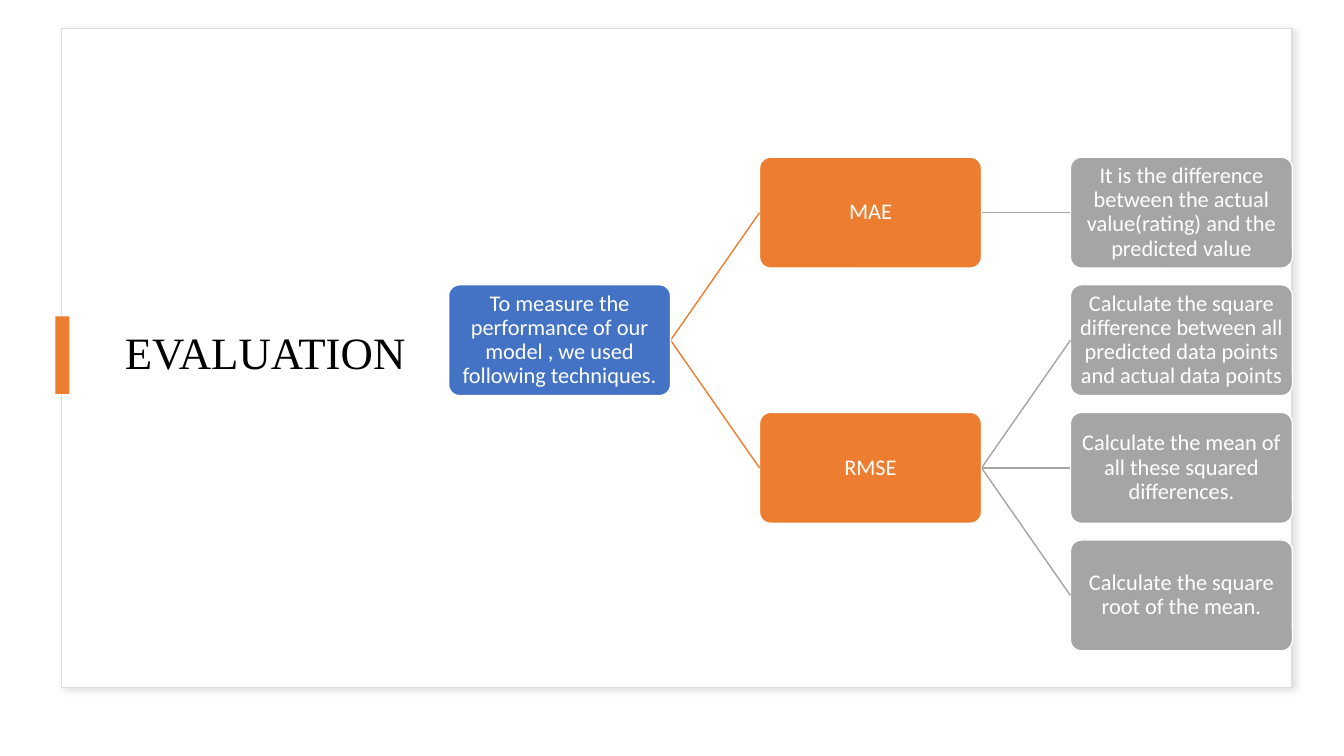
from dataclasses import dataclass

from lxml import etree
from pptx import Presentation
from pptx.dml.color import RGBColor
from pptx.enum import shapes, text
from pptx.oxml import ns
from pptx.util import Pt


@dataclass(frozen=True)
class Theme:
    """Colours, fonts and type sizes of the slide."""
    white: str = "FFFFFF"
    black: str = "000000"
    frame: str = "DEDEDE"
    shade: str = "C5C3C3"
    accent: str = "ED7D31"
    levels: tuple = ("4472C4", "ED7D31", "A5A5A5")
    serif: str = "Times New Roman"
    sans: str = "Calibri"
    title: int = 32
    body: int = 16


THEME = Theme()
KIND = shapes.MSO_SHAPE

TREE = ("To measure the performance of our model , we used following techniques.", [
    ("MAE", [
        ("It is the difference between the actual value(rating) and the predicted value", []),
    ]),
    ("RMSE", [
        ("Calculate the square difference between all predicted data points and actual data points", []),
        ("Calculate the mean of all these squared differences.", []),
        ("Calculate the square root of the mean.", []),
    ]),
])


def effects(shape):
    """Give the shape an empty effect list and return it."""
    props = shape.element.spPr
    for old in props.findall(ns.qn("a:effectLst")):
        props.remove(old)
    return etree.SubElement(props, ns.qn("a:effectLst"))


def block(slide, kind, box, fill, line=None):
    """Add a filled preset shape in the box, outlined if a line colour is given."""
    shape = slide.shapes.add_shape(kind, *map(Pt, box))
    shape.shadow.inherit = False
    shape.fill.solid()
    shape.fill.fore_color.rgb = RGBColor.from_string(fill)
    if line:
        shape.line.color.rgb = RGBColor.from_string(line)
        shape.line.width = Pt(1)
    else:
        shape.line.fill.background()
    return shape


def write(shape, words, font, size, color, align):
    """Set the words of a shape in one style, centred in height."""
    frame = shape.text_frame
    frame.text = words
    frame.word_wrap = True
    frame.auto_size = text.MSO_AUTO_SIZE.NONE
    frame.vertical_anchor = text.MSO_ANCHOR.MIDDLE
    para = frame.paragraphs[0]
    para.alignment = align
    para.line_spacing = 0.9
    style = para.runs[0].font
    style.name = font
    style.size = Pt(size)
    style.color.rgb = RGBColor.from_string(color)


def card(slide, box):
    """Draw the white card with its soft shadow."""
    shape = block(slide, KIND.RECTANGLE, box, THEME.white, THEME.frame)
    shadow = etree.SubElement(effects(shape), ns.qn("a:outerShdw"), blurRad=str(Pt(4)),
                              dist=str(Pt(3)), dir=str(45 * 60000), rotWithShape="0")
    color = etree.SubElement(shadow, ns.qn("a:srgbClr"), val=THEME.shade)
    etree.SubElement(color, ns.qn("a:alpha"), val="50000")
    return shape


def heading(slide, box, words, under):
    """Place the title in the box, above the given shape, with its accent tab."""
    left, top, width, height = box
    title = slide.shapes.title
    title.left, title.top, title.width, title.height = map(Pt, box)
    write(title, words, THEME.serif, THEME.title, THEME.black, text.PP_ALIGN.LEFT)
    under.element.addnext(title.element)
    tab = 55.4
    block(slide, KIND.RECTANGLE, (left - 42.5, top + (height - tab) / 2, 10, tab), THEME.accent)


def link(slide, start, end, color):
    """Join two points with a thin line."""
    line = slide.shapes.add_connector(shapes.MSO_CONNECTOR.STRAIGHT, *map(Pt, start + end))
    line.line.color.rgb = RGBColor.from_string(color)
    line.line.width = Pt(1)
    effects(line)


def leaves(node):
    """Count the end nodes below a node."""
    return sum(map(leaves, node[1])) or 1


def branch(slide, box, node, level=0):
    """Draw a node centred on its children and return the middle of its left edge."""
    left, top, width, height = box
    wide, high, step, row = 158.6, 79.2, 222.1, 91.15
    words, kids = node
    ends = []
    below = top
    for kid in kids:
        area = (left + step, below, width - step, height)
        ends.append(branch(slide, area, kid, level + 1))
        below += leaves(kid) * row
    mid = (ends[0][1] + ends[-1][1]) / 2 if ends else top + high / 2
    for end in ends:
        link(slide, (left + wide, mid), end, THEME.levels[level + 1])
    node_box = (left, mid - high / 2, wide, high)
    shape = block(slide, KIND.ROUNDED_RECTANGLE, node_box, THEME.levels[level], THEME.white)
    shape.adjustments[0] = 0.1
    frame = shape.text_frame
    frame.margin_left = frame.margin_right = frame.margin_top = frame.margin_bottom = Pt(0.8)
    write(shape, words, THEME.sans, THEME.body, THEME.white, text.PP_ALIGN.CENTER)
    return left, mid


def main():
    """Build the evaluation slide."""
    deck = Presentation()
    deck.slide_width, deck.slide_height = Pt(960), Pt(540)
    slide = deck.slides.add_slide(deck.slide_layouts[5])
    panel = card(slide, (44, 20.2, 879, 471))
    heading(slide, (82, 39.6, 235.5, 428.4), "EVALUATION", panel)
    branch(slide, (320.4, 112.3, 602.8, 352.6), TREE)
    deck.save("out.pptx")


if __name__ == "__main__":
    main()
